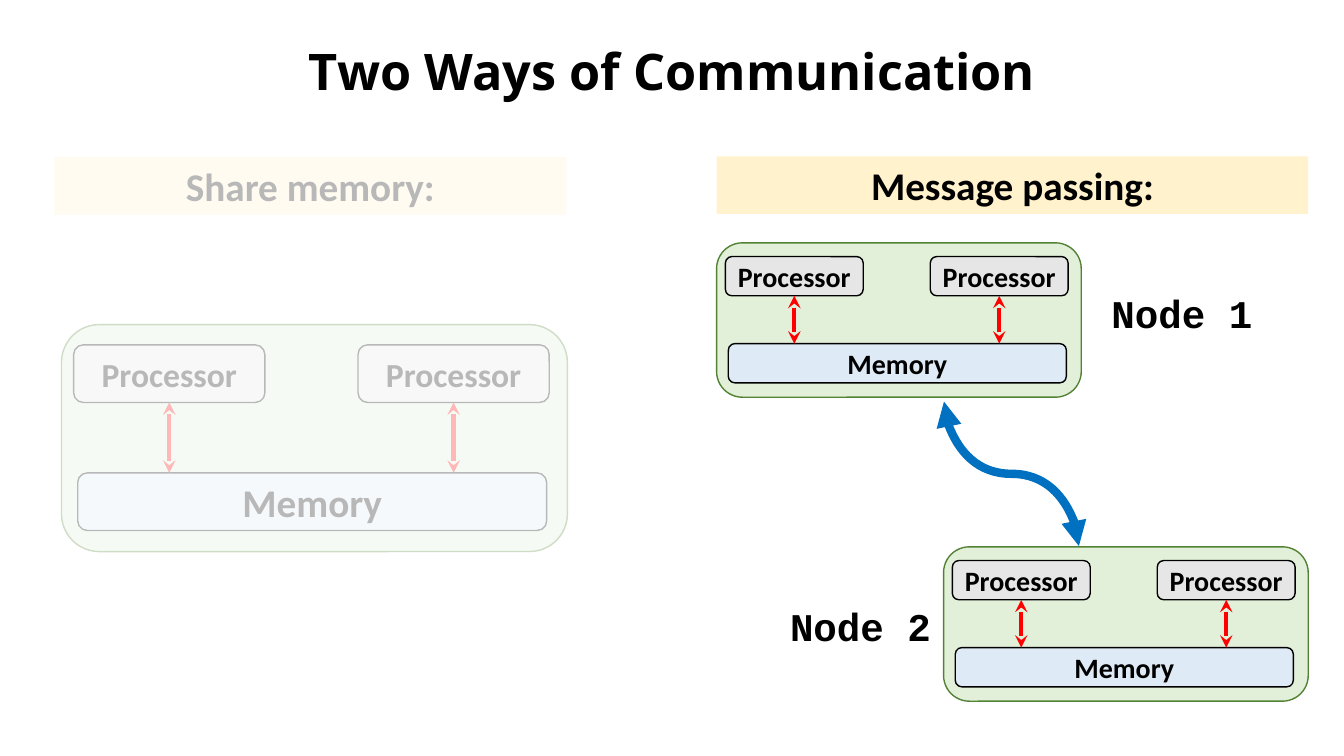
from dataclasses import dataclass

import lxml.etree
import pptx
import pptx.dml.color
import pptx.enum.shapes
import pptx.enum.text
import pptx.oxml.ns
import pptx.util
from pptx.util import Cm

Kind = pptx.enum.shapes.MSO_SHAPE
Link = pptx.enum.shapes.MSO_CONNECTOR
Anchor = pptx.enum.text.MSO_ANCHOR
Align = pptx.enum.text.PP_ALIGN
Fit = pptx.enum.text.MSO_AUTO_SIZE
qn = pptx.oxml.ns.qn


@dataclass(frozen=True)
class Theme:
    ink: str = "000000"
    paper: str = "FFFFFF"
    banner: str = "FFF2CC"
    node: str = "E2F0D9"
    edge: str = "548235"
    chip: str = "E7E6E6"
    store: str = "DEEBF7"
    bus: str = "FF0000"
    message: str = "0070C0"
    body: str = "Calibri"
    code: str = "Courier New"
    head: str = "Noto Sans"
    title: int = 36
    large: int = 28
    medium: int = 24
    small: int = 20


THEME = Theme()


def rgb(code):
    return pptx.dml.color.RGBColor.from_string(code)


def put(target, values):
    for name, value in values.items():
        setattr(target, name, value)


def write(shape, text, size, face=THEME.body, align=Align.CENTER, **frame):
    """Fill a shape with one bold line; frame holds text frame settings."""
    put(shape.text_frame, {"word_wrap": True, "vertical_anchor": Anchor.MIDDLE, **frame})
    line = shape.text_frame.paragraphs[0]
    line.alignment = align
    run = line.add_run()
    run.text = text
    put(run.font, {"name": face, "size": pptx.util.Pt(size), "bold": True})
    run.font.color.rgb = rgb(THEME.ink)
    return line


def add_box(shapes, kind, area, fill, edge=None):
    box = shapes.add_shape(kind, *map(Cm, area))
    box.shadow.inherit = False
    box.fill.solid()
    box.fill.fore_color.rgb = rgb(fill)
    if edge:
        box.line.color.rgb = rgb(edge)
        box.line.width = pptx.util.Pt(1)
    else:
        box.line.fill.background()
    return box


def add_arrow(shapes, kind, ends, color, width, tip):
    """Draw a connector with the same arrowhead at both ends."""
    arrow = shapes.add_connector(kind, *ends)
    arrow.line.color.rgb = rgb(color)
    arrow.line.width = pptx.util.Pt(width)
    props = arrow.element.spPr
    for end in ("a:headEnd", "a:tailEnd"):
        lxml.etree.SubElement(props.find(qn("a:ln")), qn(end), type=tip)
    lxml.etree.SubElement(props, qn("a:effectLst"))
    return arrow


def add_node(slide, area, chip_size, store_size):
    """Group two processors over one memory, placed in percent of the area."""
    left, top, width, height = area
    shapes = slide.shapes.add_group_shape().shapes

    def part(x, y, wide, fill, text, size):
        place = (left + width * x / 100, top + height * y / 100,
                 width * wide / 100, height * 25.4 / 100)
        box = add_box(shapes, Kind.ROUNDED_RECTANGLE, place, fill, THEME.ink)
        write(box, text, size)
        return box

    add_box(shapes, Kind.ROUNDED_RECTANGLE, area, THEME.node, THEME.edge)
    chips = [part(x, 8.9, 37.8, THEME.chip, "Processor", chip_size) for x in (2.4, 58.6)]
    store = part(3.2, 65.3, 92.7, THEME.store, "Memory", store_size)
    for chip in chips:
        mid = chip.left + chip.width // 2
        ends = (mid, chip.top + chip.height, mid, store.top)
        bus = add_arrow(shapes, Link.STRAIGHT, ends, THEME.bus, 3, "stealth")
        bus.begin_connect(chip, 2)


def add_title(slide, text):
    box = slide.shapes.add_textbox(0, Cm(0.03), Cm(33.87), Cm(3.68))
    write(box, text, THEME.title, THEME.head).line_spacing = 0.9


def add_banner(slide, left, top, width, text):
    box = add_box(slide.shapes, Kind.RECTANGLE, (left, top, width, 1.45), THEME.banner)
    write(box, text, THEME.large, vertical_anchor=Anchor.TOP,
          auto_size=Fit.SHAPE_TO_FIT_TEXT)


def add_label(slide, left, top, text):
    box = slide.shapes.add_textbox(*map(Cm, (left, top, 4.09, 1.45)))
    write(box, text, THEME.large, THEME.code, Align.LEFT, word_wrap=False,
          vertical_anchor=Anchor.TOP, auto_size=Fit.SHAPE_TO_FIT_TEXT)


def add_curve(slide):
    """Draw the message arrow, turned so that it leaves and arrives upright."""
    ends = map(Cm, (27.31, 10.24, 23.67, 13.64))
    curve = add_arrow(slide.shapes, Link.CURVE, ends, THEME.message, 6, "triangle")
    curve.element.spPr.find(qn("a:xfrm")).set("rot", str(270 * 60000))


def add_veil(slide, area):
    """Fade what lies below with a sheet of 72 percent white."""
    veil = add_box(slide.shapes, Kind.RECTANGLE, area, THEME.paper)
    tint = veil.element.spPr.find(qn("a:solidFill")).find(qn("a:srgbClr"))
    lxml.etree.SubElement(tint, qn("a:alpha"), val="72000")


def main():
    deck = pptx.Presentation()
    put(deck, {"slide_width": Cm(33.87), "slide_height": Cm(19.05)})
    slide = deck.slides.add_slide(deck.slide_layouts[6])
    add_title(slide, "Two Ways of Communication")
    add_node(slide, (1.55, 8.18, 12.75, 5.72), THEME.medium, THEME.large)
    add_banner(slide, 1.37, 3.96, 12.9, "Share memory:")
    add_banner(slide, 18.06, 3.94, 14.91, "Message passing:")
    add_curve(slide)
    for left, top in ((18.06, 6.12), (23.78, 13.78)):
        add_node(slide, (left, top, 9.19, 3.89), THEME.small, THEME.small)
    add_label(slide, 27.76, 7.16, "Node 1")
    add_label(slide, 19.66, 15.06, "Node 2")
    add_veil(slide, (0.48, 3.4, 15.7, 15.24))
    deck.save("out.pptx")


if __name__ == "__main__":
    main()
